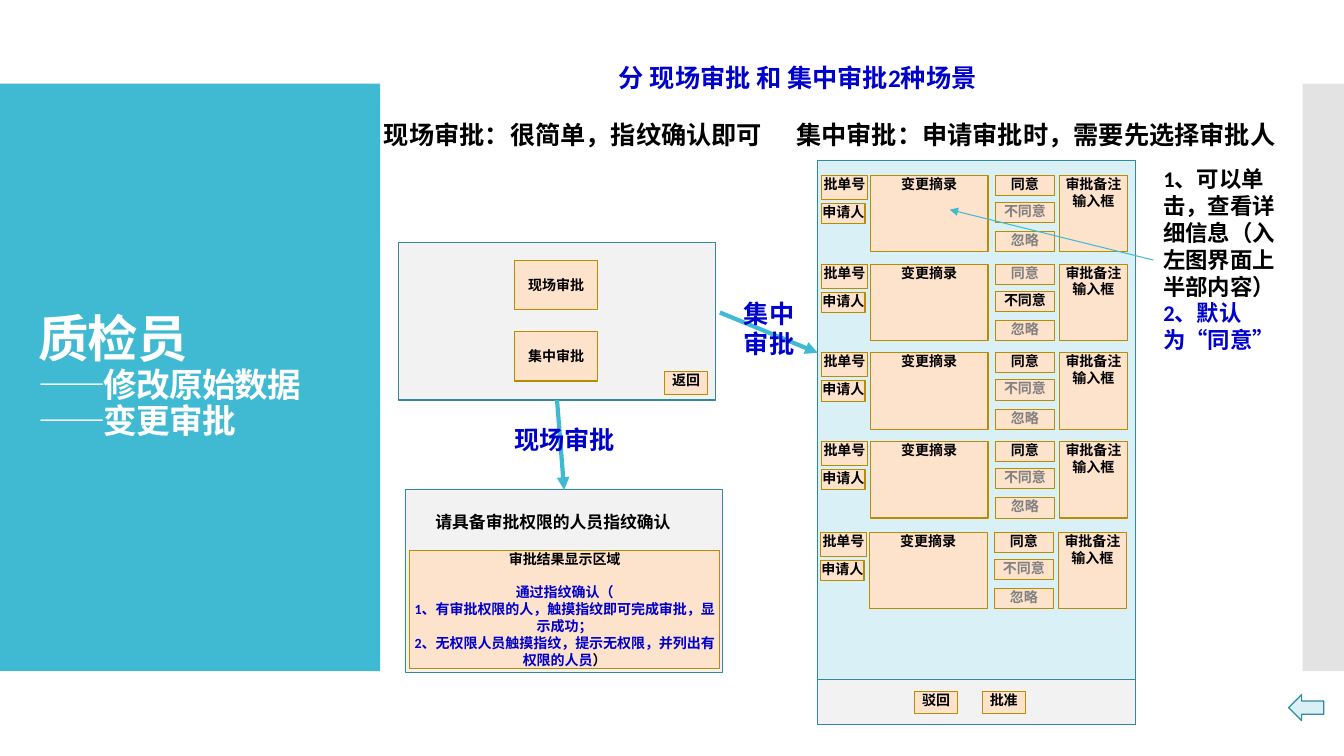
import pptx
import pptx.util
import pptx.dml.color
import pptx.enum.shapes
import pptx.enum.text
import pptx.oxml
import pptx.oxml.ns

RGBColor = pptx.dml.color.RGBColor
Pt = pptx.util.Pt
SHAPE = pptx.enum.shapes.MSO_SHAPE
ANCHOR = pptx.enum.text.MSO_ANCHOR
CENTER = pptx.enum.text.PP_ALIGN.CENTER

TEAL = RGBColor(0x40, 0xBA, 0xD2)
DARK_TEAL = RGBColor(0x2F, 0x8A, 0x9B)
PALE_TEAL = RGBColor(0xD9, 0xF1, 0xF6)
LIGHT_GRAY = RGBColor(0xF2, 0xF2, 0xF2)
SIDE_GRAY = RGBColor(0xC8, 0xC8, 0xC8)
PEACH = RGBColor(0xFD, 0xE2, 0xCC)
GOLD = RGBColor(0xBB, 0x8B, 0x00)
BLACK = RGBColor(0, 0, 0)
WHITE = RGBColor(255, 255, 255)
BLUE = RGBColor(0, 0, 0xCC)
MUTED = RGBColor(0x80, 0x80, 0x80)

PX = 9144  # 100 px to the inch

presentation = pptx.Presentation()
presentation.slide_width = 1333 * PX
presentation.slide_height = 750 * PX
slide = presentation.slides.add_slide(presentation.slide_layouts[6])


def add_box(shapes, at, fill, line=None, width=0.85, kind=SHAPE.RECTANGLE):
    shape = shapes.add_shape(kind, *[length * PX for length in at])
    shape.shadow.inherit = False
    shape.fill.solid()
    shape.fill.fore_color.rgb = fill
    if line is None:
        shape.line.fill.background()
    else:
        shape.line.color.rgb = line
        shape.line.width = Pt(width)
    return shape


def write(shape, paragraphs, size, inset=True, anchor=ANCHOR.TOP, wrap=True):
    """Each paragraph is a list of (text, colour) runs."""
    frame = shape.text_frame
    frame.word_wrap = wrap
    frame.vertical_anchor = anchor
    if not inset:
        frame.margin_left = frame.margin_right = 0
        frame.margin_top = frame.margin_bottom = 0
    for index, runs in enumerate(paragraphs):
        paragraph = frame.add_paragraph() if index else frame.paragraphs[0]
        if not inset:
            paragraph.alignment = CENTER
        for text, color in runs:
            run = paragraph.add_run()
            run.text = text
            run.font.name = "Calibri"
            run.font.size = Pt(size)
            run.font.bold = True
            run.font.color.rgb = color


# Side bands
add_box(slide.shapes, (0, 83, 377, 583), TEAL)
right_band = add_box(slide.shapes, (1292, 83, 42, 583), SIDE_GRAY)
right_band_color = right_band.fill._xPr.find(".//" + pptx.oxml.ns.qn("a:srgbClr"))
right_band_color.append(pptx.oxml.parse_xml(
    f'<a:alpha {pptx.oxml.ns.nsdecls("a")} val="50000"/>'))

# Title
title = slide.shapes.add_textbox(28 * PX, 123 * PX, 322 * PX, 503 * PX)
title.text_frame.word_wrap = True
title.text_frame.vertical_anchor = ANCHOR.MIDDLE
title_paragraph = title.text_frame.paragraphs[0]
title_paragraph.line_spacing = 0.9
for index, (text, size) in enumerate([("质检员", 36), ("——修改原始数据", 24), ("——变更审批", 24)]):
    if index:
        title_paragraph.add_line_break()
    run = title_paragraph.add_run()
    run.text = text
    run.font.name = "Calibri"
    run.font.size = Pt(size)
    run.font.bold = True
    run.font.color.rgb = WHITE
    run._r.get_or_add_rPr().set("spc", "-60")

# Panels
confirm_panel = add_box(slide.shapes, (402, 486, 315, 181), LIGHT_GRAY, DARK_TEAL)
add_box(slide.shapes, (811, 159, 315, 560), LIGHT_GRAY, DARK_TEAL)
add_box(slide.shapes, (811, 159, 315, 515), PALE_TEAL, DARK_TEAL)
choice_panel = add_box(slide.shapes, (395, 241, 315, 156), LIGHT_GRAY, DARK_TEAL)

# Approval list: one group per request
for left, top, agreed in [(815, 174, True), (815, 262, False), (815, 350, True),
                          (815, 438, True), (814, 528, True)]:
    request = slide.shapes.add_group_shape()
    for text, x, y, width, height, color in [
        ("批单号", 0, 0, 45, 24, BLACK),
        ("变更摘录", 48, 0, 117, 76, BLACK),
        ("申请人", 0, 28, 43, 20, BLACK),
        ("同意", 172, 0, 59, 20, BLACK if agreed else MUTED),
        ("不同意", 172, 27, 59, 20, MUTED if agreed else BLACK),
        ("审批备注输入框", 236, 0, 67, 76, BLACK),
        ("忽略", 172, 56, 59, 20, MUTED),
    ]:
        field = add_box(request.shapes, (left + x, top + y, width, height), PEACH, GOLD, 0.75)
        write(field, [[(text, color)]], 10, inset=False)

# Buttons
for text, at, anchor in [
    ("驳回", (907, 686, 43, 22), ANCHOR.TOP),
    ("批准", (974, 686, 43, 22), ANCHOR.TOP),
    ("返回", (659, 369, 43, 22), ANCHOR.TOP),
    ("现场审批", (510, 258, 83, 49), ANCHOR.MIDDLE),
    ("集中审批", (510, 329, 83, 49), ANCHOR.MIDDLE),
]:
    button = add_box(slide.shapes, at, PEACH, GOLD, 0.75)
    write(button, [[(text, BLACK)]], 10, inset=False, anchor=anchor)

# Arrows
for start, end, width, source, target in [
    ((1144, 258), (942, 208), 0.75, None, None),
    ((552, 397), (560, 486), 3, choice_panel, confirm_panel),
    ((714, 310), (811, 350), 3, None, None),
]:
    arrow = slide.shapes.add_connector(
        pptx.enum.shapes.MSO_CONNECTOR.STRAIGHT, *[length * PX for length in start + end])
    if source is not None:
        arrow.begin_connect(source, 2)
        arrow.end_connect(target, 0)
    arrow.line.color.rgb = TEAL
    arrow.line.width = Pt(width)
    arrow.line._get_or_add_ln().append(pptx.oxml.parse_xml(
        f'<a:tailEnd {pptx.oxml.ns.nsdecls("a")} type="triangle"/>'))
    arrow._element.spPr.append(pptx.oxml.parse_xml(
        f'<a:effectLst {pptx.oxml.ns.nsdecls("a")}/>'))

# Result area
result_area = add_box(slide.shapes, (406, 546, 308, 117), PEACH, GOLD, 0.75)
write(result_area, [
    [("审批结果显示区域", BLACK)],
    [("通过指纹确认（", BLUE)],
    [("1、有审批权限的人，触摸指纹即可完成审批，显示成功；", BLUE)],
    [("2、无权限人员触摸指纹，提示无权限，并列出有权限的人员", BLUE), ("）", BLACK)],
], 10, inset=False)
result_area.text_frame.paragraphs[1].space_before = Pt(12)

# Headings and labels
for at, size, wrap, paragraphs in [
    ((604, 57, 391, 40), 18, True, [[("分 现场审批 和 集中审批2种场景", BLUE)]]),
    ((371, 113, 399, 40), 18, False, [[("现场审批：很简单，指纹确认即可", BLACK)]]),
    ((780, 113, 500, 40), 18, False, [[("集中审批：申请审批时，需要先选择审批人", BLACK)]]),
    ((1144, 159, 136, 199), 16, True, [
        [("1、可以单击，查看详细信息（入左图界面上半部内容）", BLACK)],
        [("2、默认为“同意”", BLUE)]]),
    ((500, 416, 127, 40), 18, False, [[("现场审批", BLUE)]]),
    ((728, 291, 76, 71), 18, False, [[("集中", BLUE)], [("审批", BLUE)]]),
    ((422, 503, 281, 30), 12, True, [[("请具备审批权限的人员指纹确认", BLACK)]]),
]:
    label = slide.shapes.add_textbox(*[length * PX for length in at])
    write(label, paragraphs, size, wrap=wrap)

# Back arrow
back_arrow = add_box(slide.shapes, (1278, 689, 35, 26), PALE_TEAL, DARK_TEAL,
                     kind=SHAPE.RIGHT_ARROW)
back_arrow.rotation = 180

presentation.save("out.pptx")
